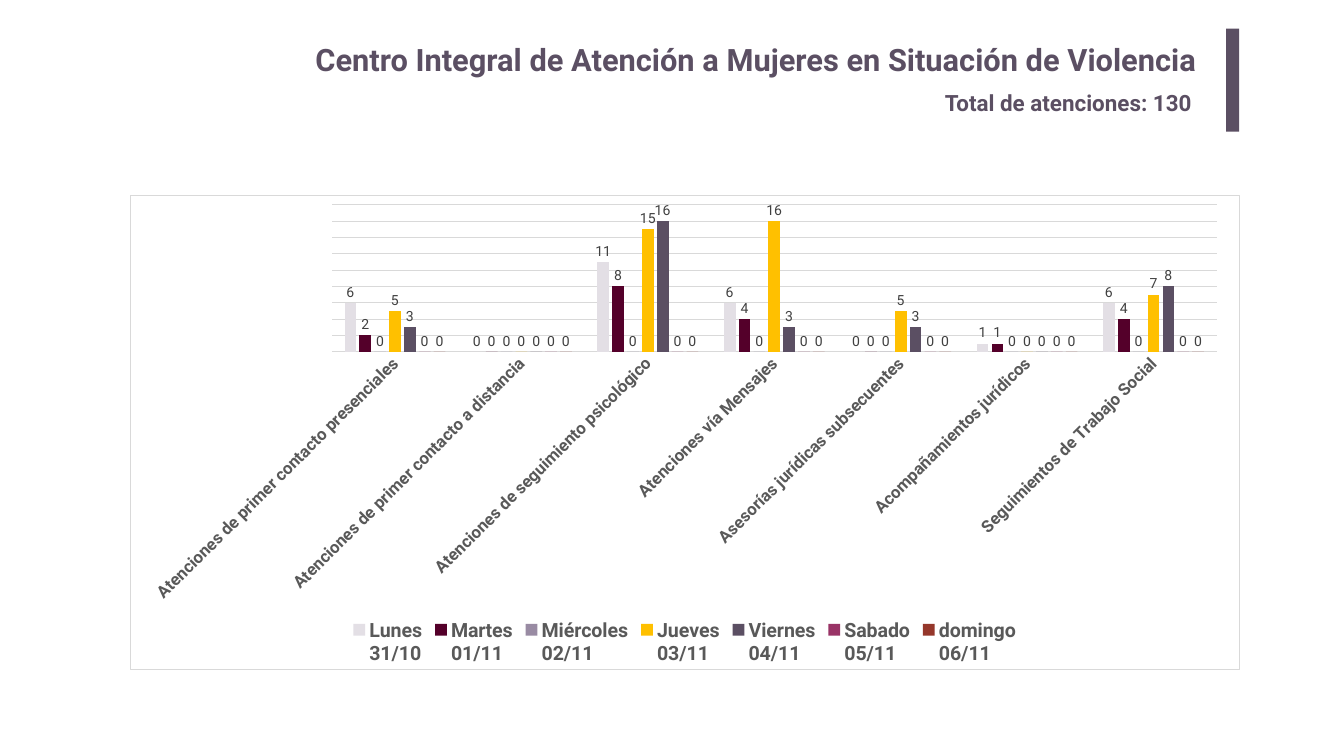
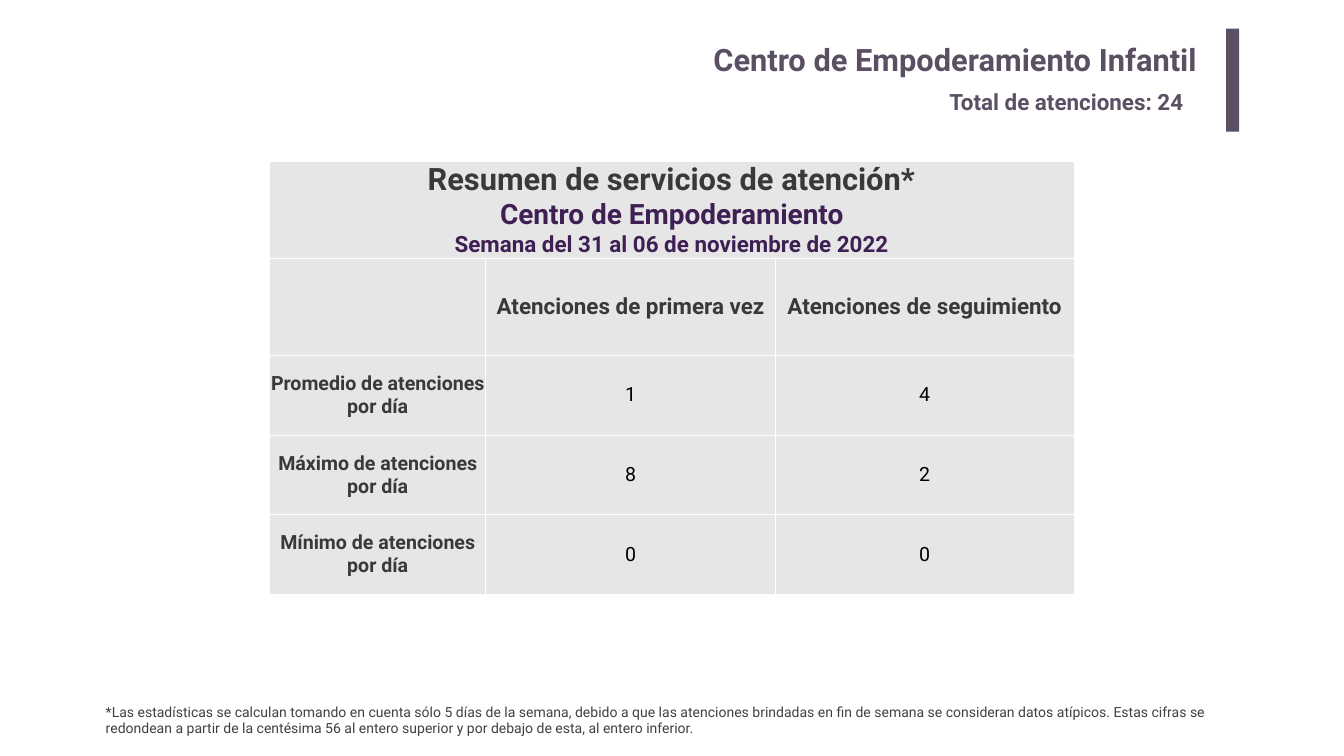
from dataclasses import dataclass

import lxml.etree
import pptx
import pptx.chart.data
import pptx.dml.color
import pptx.enum.chart
import pptx.enum.shapes
import pptx.enum.text
import pptx.oxml
import pptx.oxml.ns
import pptx.util

# Shared measures and colours: 100 px to the inch
EMU_PER_PX = 9144
FONT = "Roboto"
PURPLE = "5B4F63"
DEEP_PURPLE = "3E2054"
WHITE = "FFFFFF"
BLACK = "000000"
TABLE_GREY = "E7E6E6"
TABLE_TEXT = "3B3838"
CHART_LINE = "D9D9D9"
CHART_TEXT = "595959"
NOTE_TEXT = "404040"
TITLE_ONLY = 5
DRAWING_NS = pptx.oxml.ns.nsdecls("a")
ALIGN = pptx.enum.text.PP_ALIGN
ANCHOR = pptx.enum.text.MSO_ANCHOR


@dataclass(frozen=True)
class Box:
    left: int
    top: int
    width: int
    height: int

    def emu(self) -> list:
        return [px(n) for n in (self.left, self.top, self.width, self.height)]


@dataclass(frozen=True)
class Style:
    size: int
    color: str
    bold: bool = True


@dataclass(frozen=True)
class Day:
    name: str
    date: str
    color: str
    values: tuple


@dataclass(frozen=True)
class Header:
    title: str
    total: str
    total_box: Box


TITLE_BOX = Box(366, 67, 2030, 102)
BAND_BOX = Box(2433, 57, 26, 204)
CHART_BOX = Box(258, 387, 2201, 941)
TABLE_BOX = Box(535, 320, 1596, 858)
NOTE_BOX = Box(200, 1390, 2233, 77)

TITLE = Style(44, PURPLE)
TOTAL = Style(32, PURPLE)
COLUMN_HEAD = Style(32, TABLE_TEXT)
ROW_HEAD = Style(28, TABLE_TEXT)
VALUE = Style(28, BLACK, False)
NOTE = Style(20, NOTE_TEXT, False)

WOMEN_HEADER = Header(
    "Centro Integral de Atención a Mujeres en Situación de Violencia",
    "Total de atenciones: 130", Box(1865, 171, 531, 65))
CHILD_HEADER = Header(
    "Centro de Empoderamiento Infantil",
    "Total de atenciones: 24", Box(1874, 169, 528, 64))

SERVICES = (
    "Atenciones de primer contacto presenciales",
    "Atenciones de primer contacto a distancia",
    "Atenciones de seguimiento psicológico",
    "Atenciones vía Mensajes",
    "Asesorías jurídicas subsecuentes",
    "Acompañamientos jurídicos",
    "Seguimientos de Trabajo Social",
)
NONE_SERVED = (0,) * len(SERVICES)
DAYS = (
    Day("Lunes", "31/10", "E3DFE5", (6, 0, 11, 6, 0, 1, 6)),
    Day("Martes", "01/11", "54002A", (2, 0, 8, 4, 0, 1, 4)),
    Day("Miércoles", "02/11", "998BA3", NONE_SERVED),
    Day("Jueves", "03/11", "FFC000", (5, 0, 15, 16, 5, 0, 7)),
    Day("Viernes", "04/11", PURPLE, (3, 0, 16, 3, 3, 0, 8)),
    Day("Sabado", "05/11", "993366", NONE_SERVED),
    Day("domingo", "06/11", "95372B", NONE_SERVED),
)

COLUMN_WIDTHS = (429, 575, 592)
ROW_HEIGHTS = (192, 192, 158, 158, 158)
TABLE_TITLE = (
    ("Resumen de servicios de atención*", Style(44, TABLE_TEXT)),
    ("Centro de Empoderamiento", Style(40, DEEP_PURPLE)),
    ("Semana del 31 al 06 de noviembre de 2022", Style(32, DEEP_PURPLE)),
)
TABLE_ROWS = (
    ("", "Atenciones de primera vez", "Atenciones de seguimiento"),
    ("Promedio de atenciones por día", "1", "4"),
    ("Máximo de atenciones por día", "8", "2"),
    ("Mínimo de atenciones por día", "0", "0"),
)
FOOTNOTE = (
    "*Las estadísticas se calculan tomando en cuenta sólo 5 días de la semana, "
    "debido a que las atenciones brindadas en fin de semana se consideran datos "
    "atípicos. Estas cifras se redondean a partir de la centésima 56 al entero "
    "superior y por debajo de esta, al entero inferior.")


# Formatting helpers
def px(length: int) -> pptx.util.Emu:
    return pptx.util.Emu(length * EMU_PER_PX)


def rgb(color: str) -> pptx.dml.color.RGBColor:
    return pptx.dml.color.RGBColor.from_string(color)


def format_font(font, style: Style) -> None:
    font.name = FONT
    font.size = pptx.util.Pt(style.size)
    font.bold = style.bold
    font.color.rgb = rgb(style.color)


def fill_solid(fill, color: str) -> None:
    fill.solid()
    fill.fore_color.rgb = rgb(color)


def format_line(line, color: str) -> None:
    line.color.rgb = rgb(color)
    line.width = pptx.util.Pt(0.75)


def write_paragraph(paragraph, text: str, style: Style, alignment=ALIGN.LEFT) -> None:
    paragraph.text = text
    paragraph.alignment = alignment
    format_font(paragraph.font, style)


def set_margins(target, horizontal: int, vertical: int) -> None:
    target.margin_left = target.margin_right = px(horizontal)
    target.margin_top = target.margin_bottom = px(vertical)


# Parts used on the slides
def add_text(slide, box: Box, text: str, style: Style) -> None:
    frame = slide.shapes.add_textbox(*box.emu()).text_frame
    frame.word_wrap = True
    set_margins(frame, 10, 5)
    write_paragraph(frame.paragraphs[0], text, style)


def add_headed_slide(presentation, header: Header):
    slide = presentation.slides.add_slide(presentation.slide_layouts[TITLE_ONLY])
    title = slide.shapes.title
    title.left, title.top, title.width, title.height = TITLE_BOX.emu()
    frame = title.text_frame
    frame.auto_size = pptx.enum.text.MSO_AUTO_SIZE.NONE
    frame.vertical_anchor = ANCHOR.MIDDLE
    set_margins(frame, 20, 10)
    write_paragraph(frame.paragraphs[0], header.title, TITLE, ALIGN.RIGHT)

    band = slide.shapes.add_shape(
        pptx.enum.shapes.MSO_SHAPE.RECTANGLE, *BAND_BOX.emu())
    band.shadow.inherit = False
    fill_solid(band.fill, PURPLE)
    band.line.fill.background()

    add_text(slide, header.total_box, header.total, TOTAL)
    return slide


def frame_chart(chart) -> None:
    outline = pptx.oxml.parse_xml(
        f'<c:spPr {pptx.oxml.ns.nsdecls("c", "a")}>'
        f'<a:solidFill><a:srgbClr val="{WHITE}"/></a:solidFill>'
        f'<a:ln w="9525"><a:solidFill><a:srgbClr val="{CHART_LINE}"/></a:solidFill></a:ln>'
        '</c:spPr>')
    chart._chartSpace.find(pptx.oxml.ns.qn("c:chart")).addnext(outline)


def add_attention_chart(slide) -> None:
    data = pptx.chart.data.CategoryChartData()
    data.categories = SERVICES
    for day in DAYS:
        data.add_series(f"{day.name}\n{day.date}", day.values)
    chart = slide.shapes.add_chart(
        pptx.enum.chart.XL_CHART_TYPE.COLUMN_CLUSTERED, *CHART_BOX.emu(), data).chart
    chart.has_title = False
    format_font(chart.font, Style(10, BLACK, False))
    frame_chart(chart)

    # Legend
    chart.has_legend = True
    chart.legend.position = pptx.enum.chart.XL_LEGEND_POSITION.BOTTOM
    chart.legend.include_in_layout = False
    format_font(chart.legend.font, Style(28, CHART_TEXT))

    # Axes, with slanted service names
    services = chart.category_axis
    services.major_tick_mark = pptx.enum.chart.XL_TICK_MARK.NONE
    format_line(services.format.line, CHART_LINE)
    format_font(services.tick_labels.font, Style(24, CHART_TEXT))
    axis = chart._chartSpace.find(".//" + pptx.oxml.ns.qn("c:catAx"))
    axis.find(".//" + pptx.oxml.ns.qn("a:bodyPr")).set("rot", "-2700000")
    counts = chart.value_axis
    counts.minimum_scale, counts.maximum_scale, counts.major_unit = 0, 18, 2
    format_line(counts.major_gridlines.format.line, CHART_LINE)
    counts.visible = False

    # Columns
    plot = chart.plots[0]
    plot.vary_by_categories = False
    plot.gap_width = 219
    plot.overlap = -27
    for series, day in zip(plot.series, DAYS):
        fill_solid(series.format.fill, day.color)
        labels = series.data_labels
        labels.show_value = True
        labels.position = pptx.enum.chart.XL_LABEL_POSITION.OUTSIDE_END
        format_font(labels.font, NOTE)


def format_cell(cell) -> None:
    cell.vertical_anchor = ANCHOR.MIDDLE
    set_margins(cell, 0, 0)
    fill_solid(cell.fill, TABLE_GREY)
    properties = cell._tc.get_or_add_tcPr()
    for position, side in enumerate("LRTB"):
        properties.insert(position, pptx.oxml.parse_xml(
            f'<a:ln{side} {DRAWING_NS} w="12700"><a:solidFill>'
            f'<a:srgbClr val="{WHITE}"/></a:solidFill></a:ln{side}>'))


def add_summary_table(slide) -> None:
    table = slide.shapes.add_table(
        len(ROW_HEIGHTS), len(COLUMN_WIDTHS), *TABLE_BOX.emu()).table
    for column, width in zip(table.columns, COLUMN_WIDTHS):
        column.width = px(width)
    for row, height in zip(table.rows, ROW_HEIGHTS):
        row.height = px(height)
    for cell in table.iter_cells():
        format_cell(cell)

    # Title across all columns
    table.cell(0, 0).merge(table.cell(0, len(COLUMN_WIDTHS) - 1))
    frame = table.cell(0, 0).text_frame
    for index, (text, style) in enumerate(TABLE_TITLE):
        paragraph = frame.add_paragraph() if index else frame.paragraphs[0]
        write_paragraph(paragraph, text, style, ALIGN.CENTER)

    # Headings and values
    for row, texts in enumerate(TABLE_ROWS, start=1):
        for column, text in enumerate(texts):
            style = COLUMN_HEAD if row == 1 else VALUE if column else ROW_HEAD
            paragraph = table.cell(row, column).text_frame.paragraphs[0]
            write_paragraph(paragraph, text, style, ALIGN.CENTER)


def main() -> None:
    presentation = pptx.Presentation()
    presentation.slide_width = px(2667)
    presentation.slide_height = px(1500)

    women_slide = add_headed_slide(presentation, WOMEN_HEADER)
    add_attention_chart(women_slide)

    child_slide = add_headed_slide(presentation, CHILD_HEADER)
    add_summary_table(child_slide)
    add_text(child_slide, NOTE_BOX, FOOTNOTE, NOTE)

    presentation.save("out.pptx")


if __name__ == "__main__":
    main()
